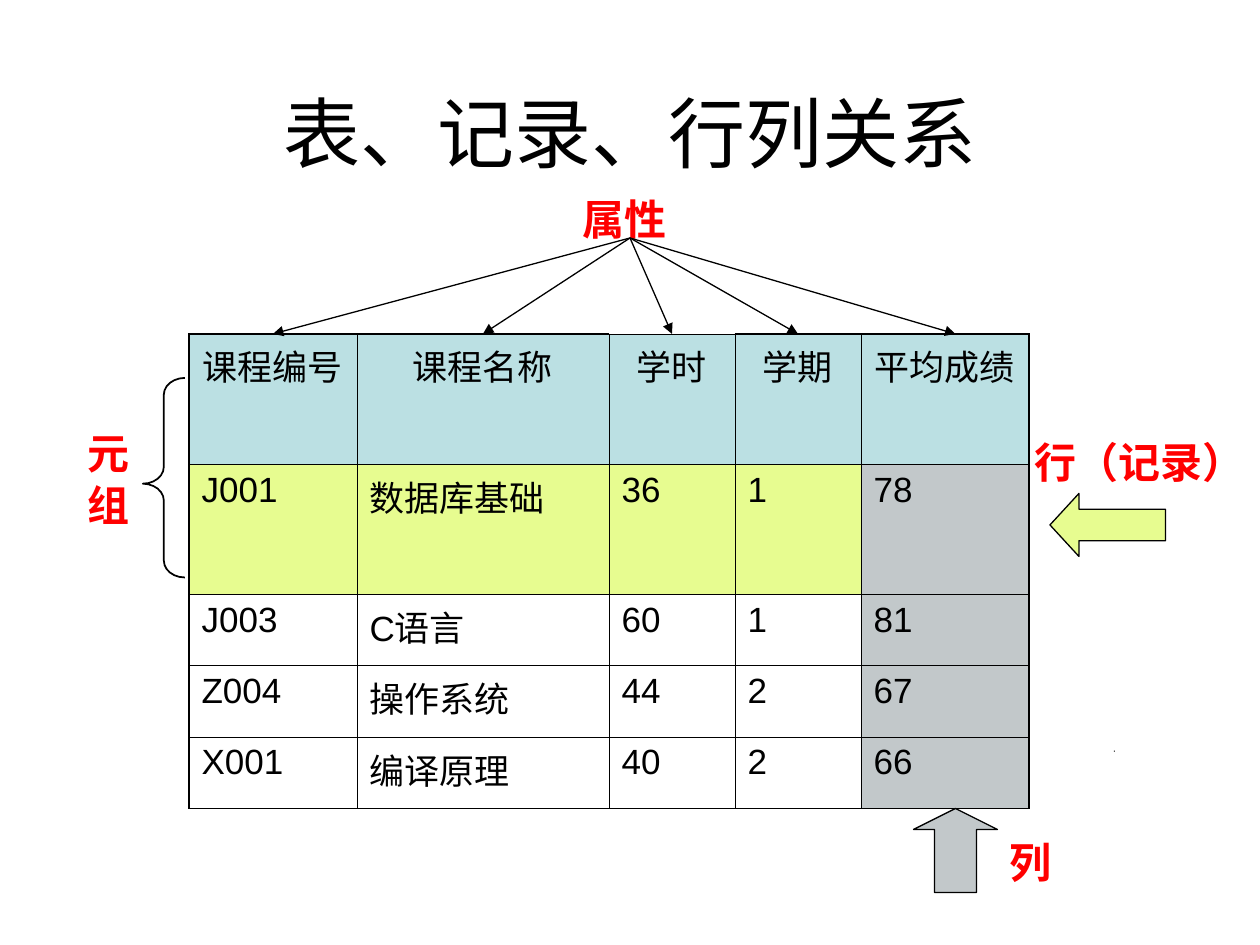
from dataclasses import dataclass

from lxml import etree
from pptx import Presentation
from pptx.dml.color import RGBColor
from pptx.enum.shapes import MSO_CONNECTOR, MSO_SHAPE
from pptx.enum.text import MSO_ANCHOR, MSO_AUTO_SIZE, PP_ALIGN
from pptx.oxml.ns import qn
from pptx.util import Pt

CENTER, LEFT = PP_ALIGN.CENTER, PP_ALIGN.LEFT
MIDDLE, TOP = MSO_ANCHOR.MIDDLE, MSO_ANCHOR.TOP
GROW, FIXED = MSO_AUTO_SIZE.SHAPE_TO_FIT_TEXT, MSO_AUTO_SIZE.NONE
STRAIGHT = MSO_CONNECTOR.STRAIGHT


@dataclass(frozen=True)
class Theme:
    black: RGBColor = RGBColor(0, 0, 0)
    red: RGBColor = RGBColor(0xFF, 0, 0)
    header: RGBColor = RGBColor(0xBB, 0xE0, 0xE3)
    record: RGBColor = RGBColor(0xE7, 0xFC, 0x90)
    column: RGBColor = RGBColor(0xC2, 0xC8, 0xCA)
    title_size: int = 44
    label_size: int = 24
    cell_size: int = 20
    body_font: str = "Arial"
    label_font: str = "Times New Roman"
    cjk_font: str = "Noto Sans CJK SC"
    thin: float = 0.45
    thick: float = 1.08
    outline: float = 0.75


theme = Theme()


def add_label(text, left, top, width, height, font, align, anchor, size_mode, wrap):
    box = page.shapes.add_textbox(Pt(left), Pt(top), Pt(width), Pt(height))
    frame = box.text_frame
    frame.text = text
    frame.word_wrap = wrap
    frame.auto_size = size_mode
    frame.vertical_anchor = anchor
    para = frame.paragraphs[0]
    para.alignment = align
    span = para.runs[0]
    span.font.name = font
    span.font.size = Pt(theme.label_size)
    span.font.bold = True
    span.font.color.rgb = theme.red
    return box


def add_figure(kind, left, top, width, height, adjustments, fill, line_width):
    figure = page.shapes.add_shape(kind, Pt(left), Pt(top), Pt(width), Pt(height))
    figure.shadow.inherit = False
    for index, value in enumerate(adjustments):
        figure.adjustments[index] = value
    if fill is None:
        figure.fill.background()
    else:
        figure.fill.solid()
        figure.fill.fore_color.rgb = fill
    if line_width:
        figure.line.color.rgb = theme.black
        figure.line.width = Pt(line_width)
    else:
        figure.line.fill.background()


deck = Presentation()
deck.slide_width, deck.slide_height = Pt(720), Pt(540)
page = deck.slides.add_slide(deck.slide_layouts[5])

# Title
title = page.shapes.title
title.left, title.top, title.width, title.height = Pt(36), Pt(30), Pt(648), Pt(90)
title.text_frame.text = "表、记录、行列关系"
title.text_frame.vertical_anchor = MIDDLE
para = title.text_frame.paragraphs[0]
para.alignment = CENTER
span = para.runs[0]
span.font.name = theme.body_font
span.font.size = Pt(theme.title_size)
span.font.color.rgb = theme.black

# Small dot at the right
add_figure(MSO_SHAPE.RECTANGLE, 636.5, 429, 0.6, 0.6, [], theme.black, 0)

# Tuple label and brace
tuple_label = add_label("元 组", 36, 240, 43, 90, theme.cjk_font, LEFT, TOP, GROW, True)
tuple_frame = tuple_label.text_frame
tuple_frame.margin_left = tuple_frame.margin_right = Pt(3.6)
tuple_frame.margin_top = tuple_frame.margin_bottom = Pt(7.2)
tuple_label.element.txBody.bodyPr.set("vert", "eaVert")
add_figure(MSO_SHAPE.LEFT_BRACE, 81.6, 216, 24, 114, [0.4, 0.53], None, 1)

# Course table
courses = [
    ["课程编号", "课程名称", "学时", "学期", "平均成绩"],
    ["J001", "数据库基础", "36", "1", "78"],
    ["J003", "C语言", "60", "1", "81"],
    ["Z004", "操作系统", "44", "2", "67"],
    ["X001", "编译原理", "40", "2", "66"],
]
column_widths = [96, 144, 72, 72, 96]
row_heights = [74.4, 74.4, 40.8, 40.8, 40.8]
table_left, table_top = 108, 190.8
last_row, last_column = len(row_heights) - 1, len(column_widths) - 1
table = page.shapes.add_table(
    len(row_heights), len(column_widths), Pt(table_left), Pt(table_top),
    Pt(sum(column_widths)), Pt(sum(row_heights))).table
table.first_row = table.horz_banding = False
for index, width in enumerate(column_widths):
    table.columns[index].width = Pt(width)
for index, height in enumerate(row_heights):
    table.rows[index].height = Pt(height)

for row, values in enumerate(courses):
    for column, value in enumerate(values):
        cell = table.cell(row, column)
        cell.text_frame.text = value
        para = cell.text_frame.paragraphs[0]
        para.alignment = CENTER if row == 0 else LEFT
        span = para.runs[0]
        span.font.name = theme.body_font
        span.font.size = Pt(theme.cell_size)
        span.font.color.rgb = theme.black

        # Thick outer borders, except above the third heading
        outer_sides = {
            "a:lnL": column == 0,
            "a:lnR": column == last_column,
            "a:lnT": row == 0 and column != 2,
            "a:lnB": row == last_row,
        }
        properties = cell._tc.get_or_add_tcPr()
        for side, outer in outer_sides.items():
            weight = Pt(theme.thick if outer else theme.thin)
            border = etree.SubElement(properties, qn(side), w=str(int(weight)))
            paint = etree.SubElement(border, qn("a:solidFill"))
            etree.SubElement(paint, qn("a:srgbClr"), val=str(theme.black))

        if row == 0:
            color = theme.header
        elif column == last_column:
            color = theme.column
        elif row == 1:
            color = theme.record
        else:
            color = None
        if color is None:
            cell.fill.background()
        else:
            cell.fill.solid()
            cell.fill.fore_color.rgb = color

# Attribute label with an arrow to each heading
add_label("属性", 324, 114, 66, 22, theme.label_font, CENTER, MIDDLE, FIXED, False)
for index, width in enumerate(column_widths):
    # The last arrow lands slightly right of its column's middle
    offset = 6 if index == last_column else 0
    target = table_left + sum(column_widths[:index]) + width / 2 + offset
    arrow = page.shapes.add_connector(
        STRAIGHT, Pt(360), Pt(136), Pt(target), Pt(table_top))
    arrow.line.color.rgb = theme.black
    arrow.line.width = Pt(theme.outline)
    etree.SubElement(arrow.line._get_or_add_ln(), qn("a:tailEnd"), type="triangle")
    etree.SubElement(arrow.element.spPr, qn("a:effectLst"))

# Row arrow and label
add_figure(MSO_SHAPE.LEFT_ARROW, 600, 282, 66, 36, [0.5, 0.46],
           theme.record, theme.outline)
add_label("行（记录）", 606, 246, 90, 36, theme.label_font, CENTER, MIDDLE, FIXED, False)

# Column arrow and label
add_figure(MSO_SHAPE.UP_ARROW, 522, 462, 48, 48, [0.5, 0.25],
           theme.column, theme.outline)
column_label = add_label("列", 570, 480, 36, 30, theme.body_font, LEFT, TOP, GROW, True)
column_label.text_frame.paragraphs[0].line_spacing = 0.8

deck.save("out.pptx")
